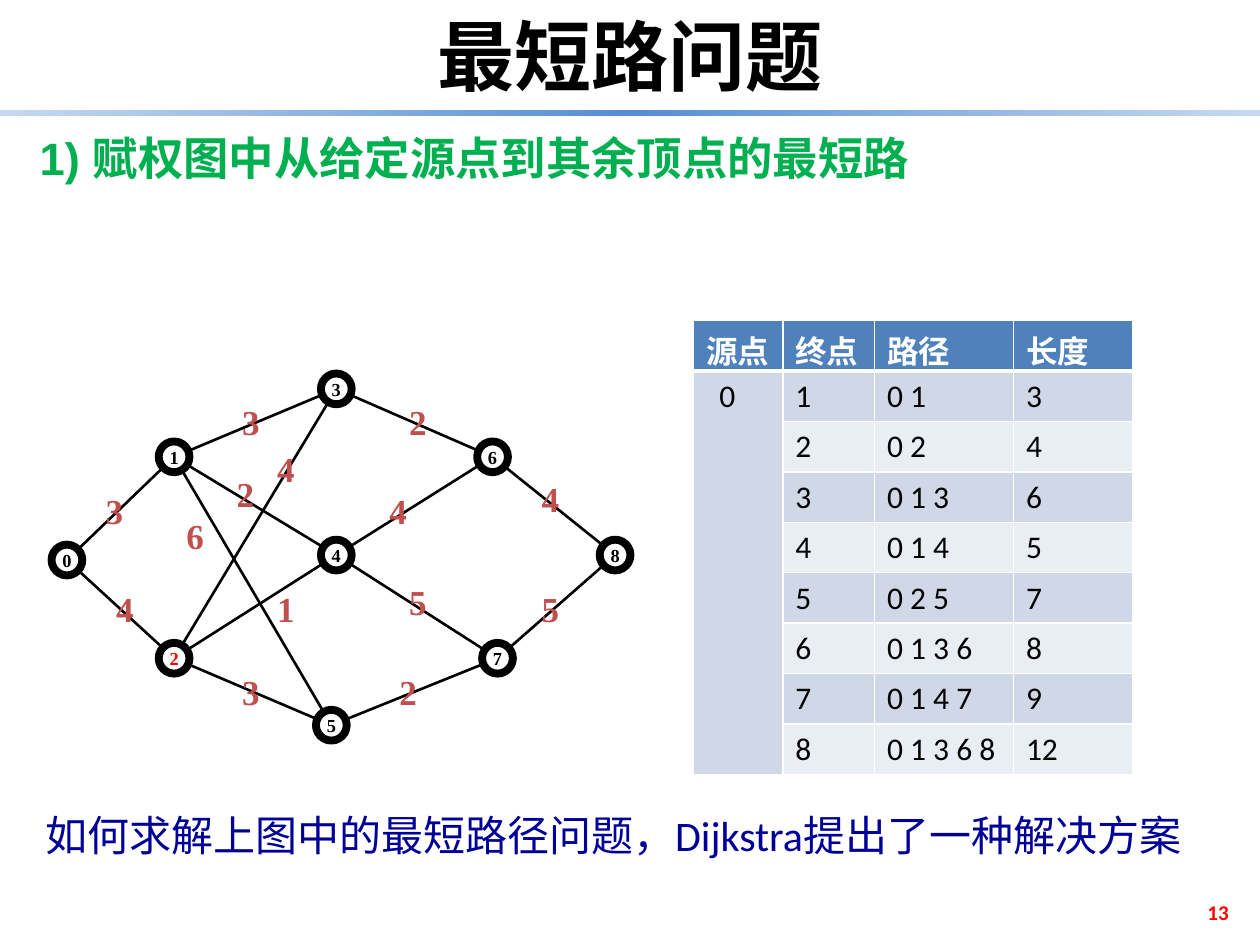
from math import hypot

from lxml import etree
from pptx import Presentation
from pptx.dml.color import RGBColor
from pptx.enum.shapes import MSO_CONNECTOR, MSO_SHAPE
from pptx.enum.text import MSO_ANCHOR, PP_ALIGN
from pptx.oxml.ns import qn
from pptx.util import Cm, Pt

# Lengths are centimetres: left, top, width, height.
TEXTS = [
    ("13", (19.1, 17.88, 5.92, 1.02), MSO_ANCHOR.MIDDLE, PP_ALIGN.RIGHT,
     dict(name="Calibri", size=12, color="FF0000", bold=True)),
    ("最短路问题", (0, 0.05, 25.4, 2.13), MSO_ANCHOR.TOP, PP_ALIGN.CENTER,
     dict(name="DejaVu Sans Mono", size=44, color="000000", bold=True)),
    ("1) 赋权图中从给定源点到其余顶点的最短路", (0.08, 2.06, 18.97, 2.21),
     MSO_ANCHOR.MIDDLE, PP_ALIGN.CENTER,
     dict(name="Arial", size=25.9, color="00B050", bold=True)),
    ("如何求解上图中的最短路径问题，Dijkstra提出了一种解决方案",
     (0.66, 16.2, 24.64, 1.27), MSO_ANCHOR.TOP, PP_ALIGN.LEFT,
     dict(name="Calibri", size=24, color="000099", bold=False)),
]

RULE_BOX = (0, 2.21, 25.4, 0.13)
RULE_STOPS = [(0, "C6D9F1"), (25, "8EB4E3"), (50, "558ED5"), (75, "8EB4E3"), (100, "C6D9F1")]

# Centre of each vertex; its number is its place in the list.
VERTICES = [
    (1.35, 11.29), (3.51, 9.21), (3.51, 13.27), (6.78, 7.84), (6.78, 11.19),
    (6.68, 14.62), (9.93, 9.21), (10.03, 13.27), (12.4, 11.19),
]
HIGHLIGHTED_VERTEX = 2
DIAMETER = 0.62

# Start vertex, end vertex, weight, left and top of the weight label.
EDGES = [
    (0, 1, 3, 2.08, 9.73), (0, 2, 4, 2.29, 11.71), (1, 3, 3, 4.83, 7.95),
    (1, 4, 2, 4.72, 9.4), (1, 5, 6, 3.71, 10.24), (3, 2, 4, 5.54, 8.89),
    (2, 4, 1, 5.54, 11.71), (2, 5, 3, 4.83, 13.39), (3, 6, 2, 8.2, 7.95),
    (4, 6, 4, 7.8, 9.73), (4, 7, 5, 8.2, 11.58), (5, 7, 2, 8, 13.39),
    (6, 8, 4, 10.87, 9.5), (7, 8, 5, 10.87, 11.71),
]

HEADER = ["源点", "终点", "路径", "长度"]
SOURCE = "0"
ROUTES = [
    ("1", "0 1", "3"), ("2", "0 2", "4"), ("3", "0 1 3", "6"), ("4", "0 1 4", "5"),
    ("5", "0 2 5", "7"), ("6", "0 1 3 6", "8"), ("7", "0 1 4 7", "9"),
    ("8", "0 1 3 6 8", "12"),
]
TABLE_LEFT, TABLE_TOP, ROW_HEIGHT = 13.98, 6.46, 1.016
COLUMN_WIDTHS = [1.8, 1.85, 2.8, 2.41]
HEADER_FILL, BAND_FILLS = "4F81BD", ["D0D8E8", "E9EDF4"]

VERTEX_FORMAT = dict(name="Times New Roman", size=10.5, color="000000", bold=True)
WEIGHT_FORMAT = dict(name="Times New Roman", size=20, color="C0504D", bold=True)
CELL_FORMAT = dict(name="Calibri", size=18, color="000000", bold=False)
NO_MARGINS = dict(margin_left=0, margin_right=0, margin_top=0, margin_bottom=0)


def rgb(value):
    return RGBColor.from_string(value)


def set_attributes(target, values):
    for name, value in values.items():
        setattr(target, name, value)


def write(frame, text, values, align=PP_ALIGN.LEFT):
    paragraph = frame.paragraphs[0]
    paragraph.alignment = align
    run = paragraph.add_run()
    run.text = text
    set_attributes(run.font, dict(name=values["name"], size=Pt(values["size"]),
                                  bold=values["bold"]))
    run.font.color.rgb = rgb(values["color"])


def add_text(shapes, text, box, values, align=PP_ALIGN.LEFT, **frame_values):
    frame = shapes.add_textbox(*map(Cm, box)).text_frame
    set_attributes(frame, dict(word_wrap=True, **frame_values))
    write(frame, text, values, align)


def add_rule(shapes):
    """Horizontal bar with a five-stop gradient below the title."""
    shape = shapes.add_shape(MSO_SHAPE.RECTANGLE, *map(Cm, RULE_BOX))
    shape.shadow.inherit = False
    shape.line.fill.background()
    shape.fill.gradient()
    shape.fill.gradient_angle = 0
    stops = shape._element.spPr.find(".//" + qn("a:gsLst"))
    for stop in list(stops):
        stops.remove(stop)
    for percent, color in RULE_STOPS:
        stop = etree.SubElement(stops, qn("a:gs"), pos=str(percent * 1000))
        etree.SubElement(stop, qn("a:srgbClr"), val=color)


def add_vertex(shapes, number, center):
    left, top = (value - DIAMETER / 2 for value in center)
    shape = shapes.add_shape(MSO_SHAPE.OVAL, *map(Cm, (left, top, DIAMETER, DIAMETER)))
    shape.shadow.inherit = False
    shape.fill.background()
    shape.line.color.rgb = rgb("000000")
    shape.line.width = Pt(4.5)
    frame = shape.text_frame
    set_attributes(frame, dict(NO_MARGINS, word_wrap=False, vertical_anchor=MSO_ANCHOR.MIDDLE))
    color = "FF0000" if number == HIGHLIGHTED_VERTEX else "000000"
    write(frame, str(number), dict(VERTEX_FORMAT, color=color), PP_ALIGN.CENTER)


def add_edge(shapes, start, end):
    """Line between two centres, trimmed to the rims of the circles."""
    (x1, y1), (x2, y2) = start, end
    trim = DIAMETER / 2 / hypot(x2 - x1, y2 - y1)
    dx, dy = (x2 - x1) * trim, (y2 - y1) * trim
    line = shapes.add_connector(MSO_CONNECTOR.STRAIGHT,
                                *map(Cm, (x1 + dx, y1 + dy, x2 - dx, y2 - dy)))
    line.line.color.rgb = rgb("000000")
    line.line.width = Pt(1.5)
    etree.SubElement(line._element.spPr, qn("a:effectLst"))


def add_graph(slide):
    shapes = slide.shapes.add_group_shape().shapes
    for number, center in enumerate(VERTICES):
        add_vertex(shapes, number, center)
    for start, end, *_ in EDGES:
        add_edge(shapes, VERTICES[start], VERTICES[end])
    margins = dict(NO_MARGINS, margin_left=Cm(0.05), margin_top=Cm(0.13))
    for _, _, weight, left, top in EDGES:
        add_text(shapes, str(weight), (left, top, 0.3, 1.02), WEIGHT_FORMAT, **margins)


def style_cell(cell, fill, bottom_width):
    properties = cell._tc.get_or_add_tcPr()
    for side, width in (("L", 1), ("R", 1), ("T", 1), ("B", bottom_width)):
        border = etree.SubElement(properties, qn("a:ln" + side), w=str(Pt(width)))
        solid = etree.SubElement(border, qn("a:solidFill"))
        etree.SubElement(solid, qn("a:srgbClr"), val="FFFFFF")
    cell.fill.solid()
    cell.fill.fore_color.rgb = rgb(fill)


def add_route_table(shapes):
    rows = [HEADER] + [(SOURCE if index == 0 else "", *route)
                       for index, route in enumerate(ROUTES)]
    box = (TABLE_LEFT, TABLE_TOP, sum(COLUMN_WIDTHS), ROW_HEIGHT * len(rows))
    table = shapes.add_table(len(rows), len(HEADER), *map(Cm, box)).table
    for column, width in zip(table.columns, COLUMN_WIDTHS):
        column.width = Cm(width)
    for row_index, row in enumerate(rows):
        is_header = row_index == 0
        table.rows[row_index].height = Cm(ROW_HEIGHT)
        fill = HEADER_FILL if is_header else BAND_FILLS[(row_index - 1) % 2]
        values = dict(CELL_FORMAT, color="FFFFFF", bold=True) if is_header else CELL_FORMAT
        for column_index, text in enumerate(row):
            cell = table.cell(row_index, column_index)
            style_cell(cell, fill, 3 if is_header else 1)
            if text:
                write(cell.text_frame, text, values)
    source_cell = table.cell(1, 0)
    source_cell.margin_left = Cm(0.52)
    source_cell.merge(table.cell(len(ROUTES), 0))


def main():
    presentation = Presentation()
    presentation.slide_width, presentation.slide_height = Cm(25.4), Cm(19.05)
    slide = presentation.slides.add_slide(presentation.slide_layouts[6])
    add_rule(slide.shapes)
    for text, box, anchor, align, values in TEXTS:
        add_text(slide.shapes, text, box, values, align, vertical_anchor=anchor)
    add_graph(slide)
    add_route_table(slide.shapes)
    presentation.save("out.pptx")


if __name__ == "__main__":
    main()
